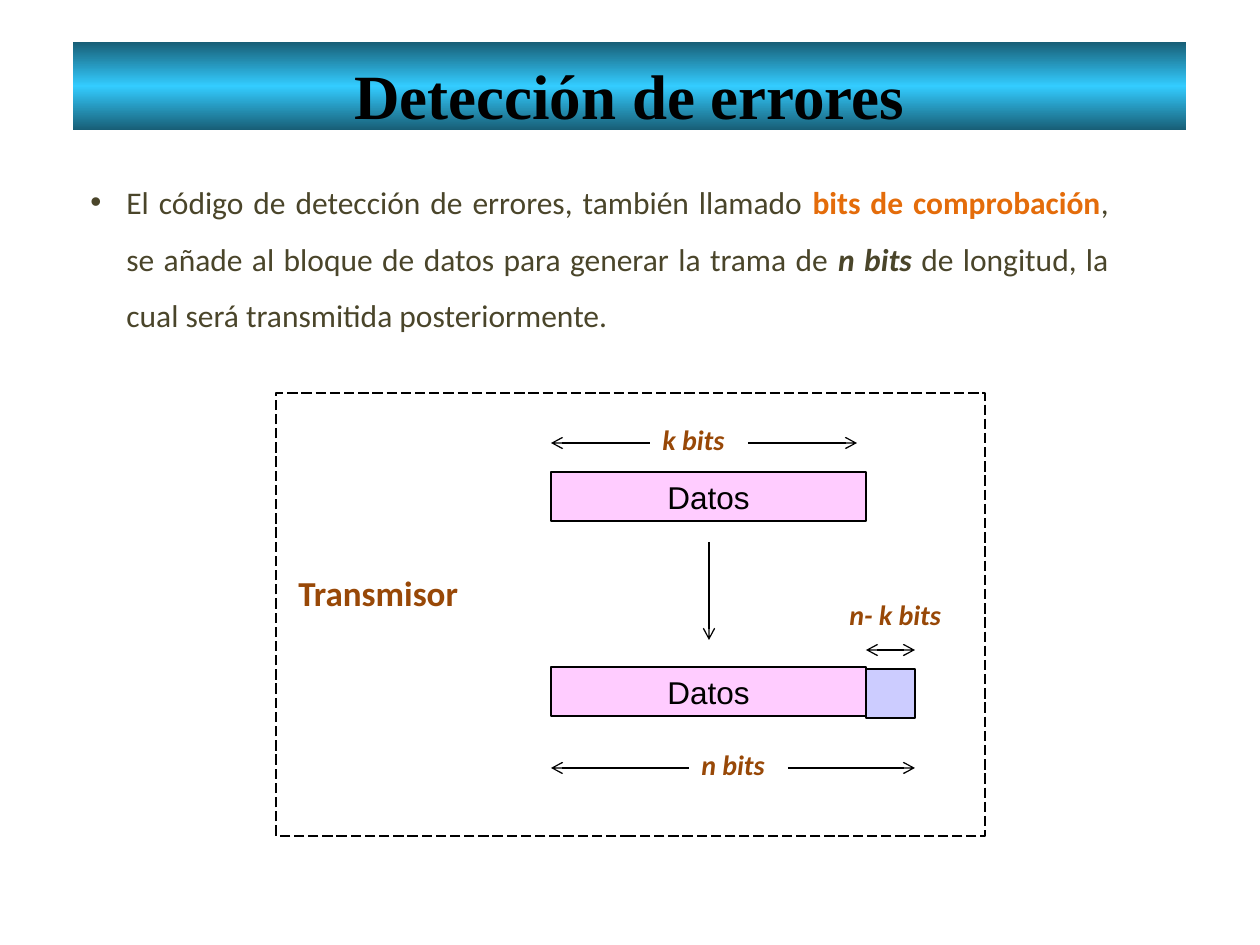
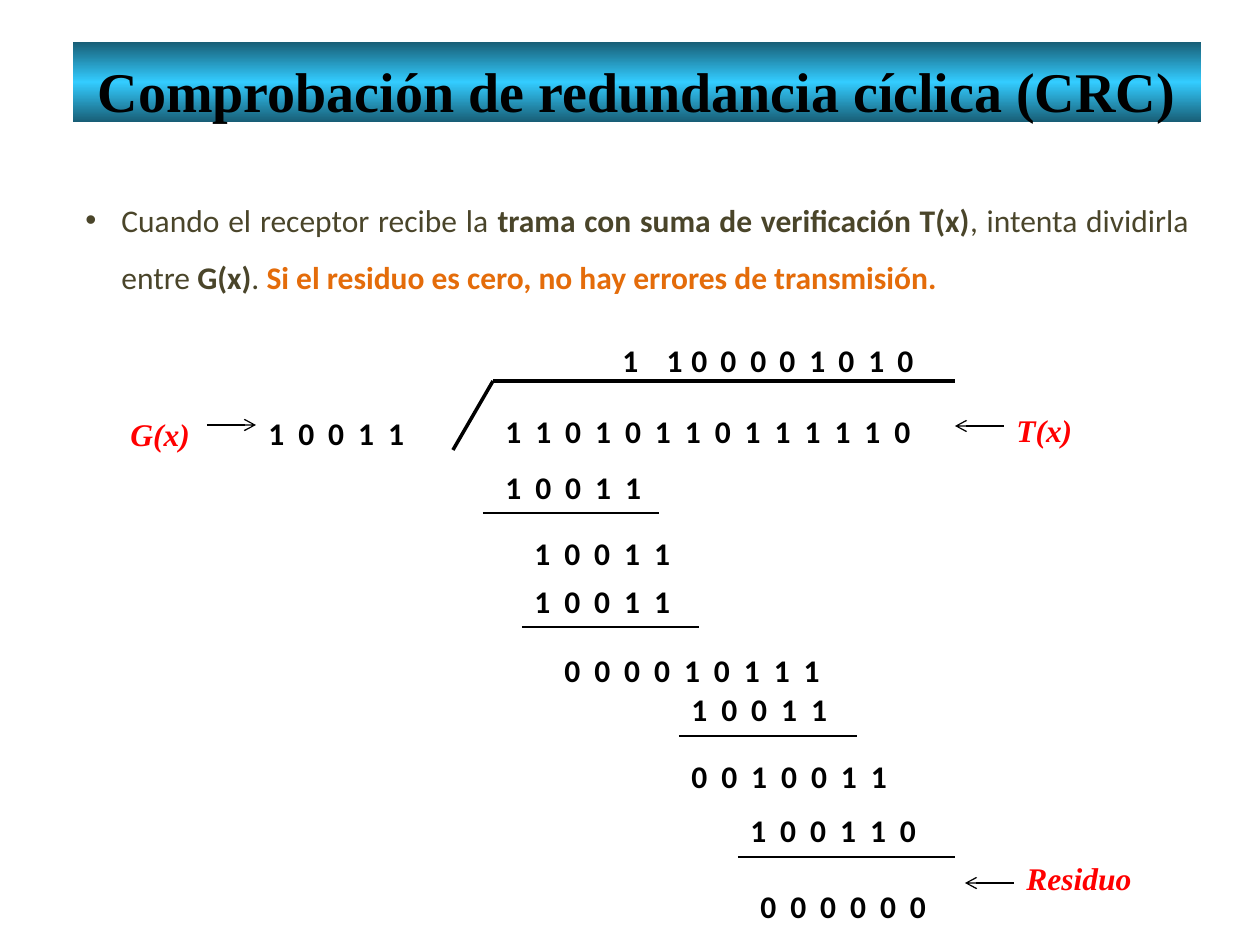
from copy import deepcopy
from lxml.etree import SubElement as Sub
from pptx import Presentation
from pptx.dml.color import RGBColor as RGB
from pptx.enum.dml import MSO_LINE as Dash
from pptx.enum.shapes import MSO_CONNECTOR as Conn, MSO_SHAPE as Shape
from pptx.enum.text import MSO_ANCHOR as Anchor, MSO_AUTO_SIZE as Auto, PP_ALIGN as Align
from pptx.oxml.ns import qn
from pptx.util import Emu, Pt

BLACK = RGB(0x00, 0x00, 0x00)
TEAL = RGB(0x18, 0x5E, 0x76)
CYAN = RGB(0x33, 0xCC, 0xFF)
OLIVE = RGB(0x4A, 0x45, 0x2A)
ORANGE = RGB(0xE4, 0x6C, 0x0A)
BROWN = RGB(0x98, 0x48, 0x07)
RED = RGB(0xFF, 0x00, 0x00)
PINK = RGB(0xFF, 0xCC, 0xFF)
LILAC = RGB(0xCC, 0xCC, 0xFF)

SANS, SERIF, PLAIN = "Calibri", "Times New Roman", "Arial"
SCALE = 914400 / 126
THIN, THICK = 0.75, 2


def px(*nums):
    return [Emu(round(num * SCALE)) for num in nums]


class Deck:
    def __init__(self):
        self.prs = Presentation()
        self.prs.slide_width, self.prs.slide_height = px(1260, 945)
        self.slide = None

    def page(self, title, wide, high, size):
        self.slide = self.prs.slides.add_slide(self.prs.slide_layouts[5])
        band = self.slide.shapes.title
        band.left, band.top, band.width, band.height = px(73, 42, wide, high)
        band.fill.gradient()
        band.fill.gradient_angle = 90
        stops = band.element.spPr.find(qn("a:gradFill")).find(qn("a:gsLst"))
        stops.append(deepcopy(stops[0]))
        for stop, spot, color in zip(band.fill.gradient_stops, (0, 0.5, 1), (TEAL, CYAN, TEAL)):
            stop.position = spot
            stop.color.rgb = color
        frame = band.text_frame
        frame.text = title
        frame.word_wrap = True
        frame.auto_size = Auto.NONE
        frame.vertical_anchor = Anchor.TOP
        frame.margin_top, frame.margin_bottom = px(14, 0)
        para = frame.paragraphs[0]
        para.alignment = Align.CENTER
        self.font(para.font, size, SERIF, BLACK, True)

    def font(self, font, size, name, color, bold=False, italic=False):
        font.size, font.name = Pt(size), name
        font.color.rgb = color
        font.bold, font.italic = bold, italic

    def para(self, x, y, w, h):
        frame = self.slide.shapes.add_textbox(*px(x, y, w, h)).text_frame
        frame.word_wrap = True
        return frame.paragraphs[0]

    def hang(self, para, align=Align.JUSTIFY):
        para.alignment = align
        para.line_spacing = 1.5
        props = para._p.get_or_add_pPr()
        left = px(36)[0]
        props.set("marL", str(left))
        props.set("indent", str(-left))
        return props

    def label(self, x, y, w, h, text, size, color=BROWN, name=SANS, italic=True, hang=False):
        para = self.para(x, y, w, h)
        para.text = text
        if hang:
            self.hang(para)
        self.font(para.font, size, name, color, True, italic)

    def bits(self, x, y, w, text, align=Align.JUSTIFY):
        para = self.para(x, y, w, 70)
        self.hang(para, align)
        run = para.add_run()
        run.text = text
        run._r.get_or_add_rPr().set("spc", "800")
        self.font(para.font, 18, SANS, BLACK, True)

    def bullet(self, x, y, w, h, *parts):
        para = self.para(x, y, w, h)
        props = self.hang(para)
        Sub(props, qn("a:buFont"), typeface=PLAIN)
        Sub(props, qn("a:buChar"), char="•")
        self.font(para.font, 18, SANS, OLIVE)
        for text, color, bold, italic in parts:
            run = para.add_run()
            run.text = text
            run.font.color.rgb = color
            run.font.bold, run.font.italic = bold, italic

    def box(self, x, y, w, h, fill=None, text="", dash=None):
        box = self.slide.shapes.add_shape(Shape.RECTANGLE, *px(x, y, w, h))
        box.shadow.inherit = False
        if fill is None:
            box.fill.background()
        else:
            box.fill.solid()
            box.fill.fore_color.rgb = fill
        box.line.color.rgb = BLACK
        box.line.width = Pt(THIN)
        if dash:
            box.line.dash_style = dash
        if text:
            frame = box.text_frame
            frame.text = text
            frame.vertical_anchor = Anchor.MIDDLE
            para = frame.paragraphs[0]
            para.alignment = Align.CENTER
            self.font(para.font, 18, PLAIN, BLACK)

    def line(self, x1, y1, x2, y2, width=THIN, ends=()):
        line = self.slide.shapes.add_connector(Conn.STRAIGHT, *px(x1, y1, x2, y2))
        line.line.color.rgb = BLACK
        line.line.width = Pt(width)
        props = line.element.spPr
        for end in ends:
            Sub(props.find(qn("a:ln")), qn(f"a:{end}End"), type="arrow")
        Sub(props, qn("a:effectLst"))

    def arrow(self, x1, y1, x2, y2, ends=("tail",)):
        self.line(x1, y1, x2, y2, ends=ends)


def frames(deck):
    deck.page("Detección de errores", 1113, 88, 36)
    deck.bullet(
        78, 158, 1043, 184,
        ("El código de detección de errores, también llamado ", OLIVE, False, False),
        ("bits de comprobación", ORANGE, True, False),
        (", se añade al bloque de datos para generar la trama de ", OLIVE, False, False),
        ("n bits ", OLIVE, True, True),
        ("de longitud, la cual será transmitida posteriormente.", OLIVE, False, False),
    )
    for y in (472, 667):
        deck.box(551, y, 315, 49, PINK, "Datos")
    deck.box(866, 669, 49, 49, LILAC)
    for y, left, right, end in ((443, 650, 748, 857), (768, 689, 788, 915)):
        deck.arrow(left, y, 551, y)
        deck.arrow(right, y, end, y)
    deck.arrow(709, 542, 709, 640)
    deck.arrow(866, 650, 915, 650, ("head", "tail"))
    for x, y, w, text in ((650, 416, 108, "k bits"), (837, 591, 128, "n- k bits"), (689, 741, 108, "n bits")):
        deck.label(x, y, w, 47, text, 16)
    deck.label(286, 565, 217, 55, "Transmisor", 20, italic=False)
    deck.box(276, 393, 709, 443, dash=Dash.LONG_DASH)


def crc(deck):
    deck.page("Comprobación de redundancia cíclica (CRC)", 1128, 80, 32)
    deck.bullet(
        73, 176, 1128, 127,
        ("Cuando el receptor recibe la ", OLIVE, False, False),
        ("trama con suma de verificación T(x)", OLIVE, True, False),
        (", intenta dividirla entre ", OLIVE, False, False),
        ("G(x)", OLIVE, True, False),
        (". ", OLIVE, False, False),
        ("Si el residuo es cero, no hay errores de transmisión.", ORANGE, True, False),
    )
    deck.line(493, 381, 453, 450, THICK)
    deck.line(493, 381, 955, 381, THICK)
    rows = (
        (493, 387, 472, "11010110111110"),
        (256, 389, 197, "10011"),
        (493, 443, 197, "10011"),
        (522, 509, 217, "10011"),
        (522, 557, 197, "10011"),
        (552, 626, 354, "000010111"),
        (679, 665, 197, "10011"),
        (679, 732, 305, "0010011"),
        (738, 786, 227, "100110"),
        (748, 862, 217, "000000"),
    )
    for row in rows:
        deck.bits(*row)
    for x1, y, x2 in ((483, 513, 659), (522, 627, 699), (679, 736, 857), (738, 857, 955)):
        deck.line(x1, y, x2, y)
    deck.bits(610, 316, 39, "1")
    deck.bits(640, 316, 69, "1", Align.CENTER)
    for i, bit in enumerate("00001010"):
        deck.bits(679 + i * 59 // 2, 316, 49, bit, Align.LEFT)
    for x, y, text in ((1004, 386, "T(x)"), (118, 390, "G(x)")):
        deck.label(x, y, 88, 63, text, 18, RED, SERIF, hang=True)
    deck.label(1014, 853, 158, 50, "Residuo", 18, RED, SERIF)
    for x1, y, x2 in ((1004, 426, 955), (207, 425, 256), (1014, 883, 965)):
        deck.arrow(x1, y, x2, y)


def main():
    deck = Deck()
    frames(deck)
    crc(deck)
    deck.prs.save("out.pptx")


if __name__ == "__main__":
    main()
